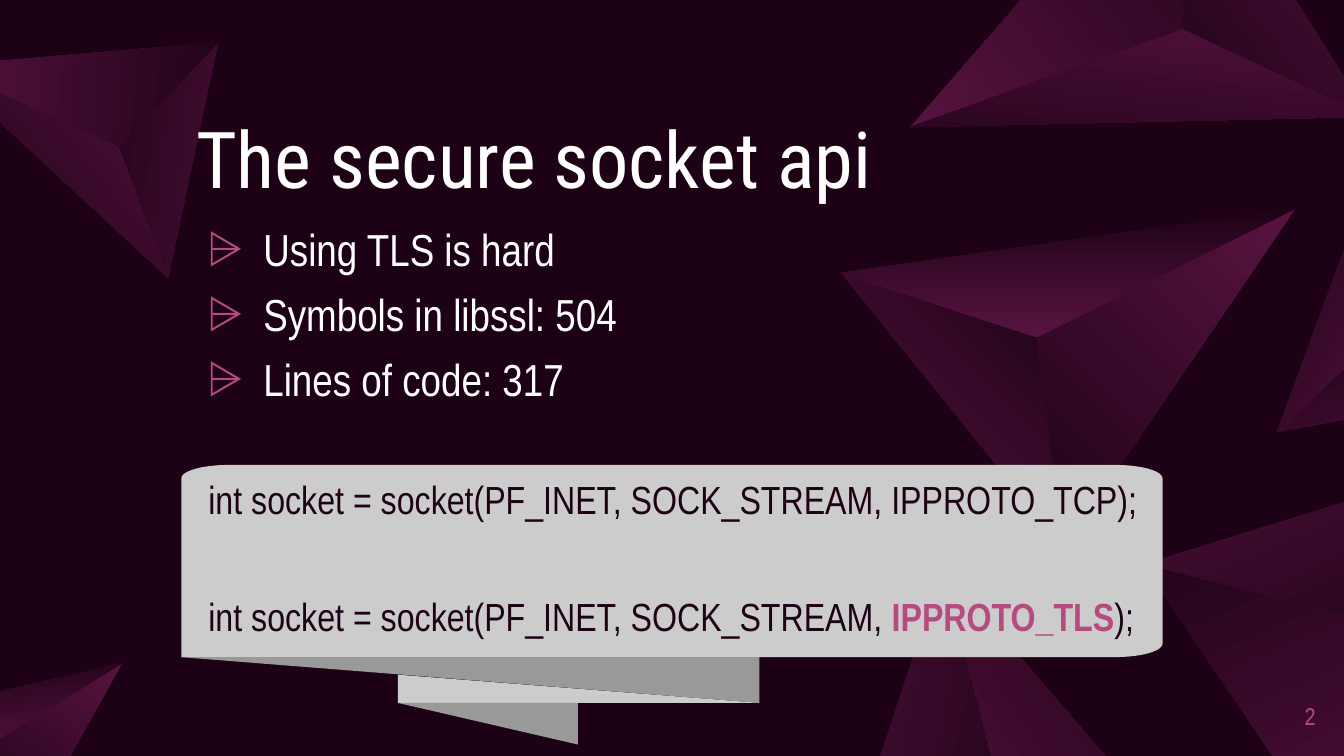
import dataclasses
import math
import typing

import lxml.etree
import pptx
import pptx.dml.color
import pptx.enum.text
import pptx.oxml.ns
import pptx.util

RGB = pptx.dml.color.RGBColor
ANCHOR = pptx.enum.text.MSO_ANCHOR
ALIGN = pptx.enum.text.PP_ALIGN
NIGHT = RGB(0x1D, 0x02, 0x16)
PLUM = RGB(0x59, 0x13, 0x41)
PINK = RGB(0xB6, 0x4B, 0x7F)
WHITE = RGB(0xFF, 0xFF, 0xFF)
LIGHT = RGB(0xCC, 0xCC, 0xCC)
GREY = RGB(0x99, 0x99, 0x99)

CELL = pptx.util.Inches(0.1)
COLS, ROWS = 100, 56.25
HEAD, BODY = "Roboto Condensed", "Arial Narrow"

Point = tuple[float, float]


@dataclasses.dataclass
class Gem:
    col: float
    row: float
    turn: float
    scale: float = 1


@dataclasses.dataclass
class Facet:
    points: list[Point]
    angle: float


@dataclasses.dataclass
class Run:
    text: str
    color: RGB
    bold: bool = False


@dataclasses.dataclass
class Line:
    runs: list[Run]
    before: float = 0
    mark: str = ""


GEM_WIDE, GEM_HIGH = 33.8, 25.3
WEST, SOUTH, EAST, PEAK = (0, 0.19), (0.49, 1), (1, 0), (0.43, 0.38)
FACETS = [
    Facet([WEST, SOUTH, PEAK], 45),
    Facet([SOUTH, EAST, PEAK], 225),
    Facet([WEST, PEAK, EAST], 90),
]
GEMS = [
    Gem(96.7, 47, 111.7),
    Gem(9.4, 8.4, 230.9, 0.68),
    Gem(79.5, 28.15, 0),
    Gem(86, -1.1, 186.8),
    Gem(102.7, 26.4, 298.3, 0.515),
    Gem(72.7, 60.7, 57.3),
    Gem(1, 56.6, 354.9, 0.515),
]


def trace(slide, points: list[Point]):
    spots = [(round(x * CELL), round(y * CELL)) for x, y in points]
    pen = slide.shapes.build_freeform(*spots[0], scale=1.0)
    pen.add_line_segments(spots[1:], close=True)
    shape = pen.convert_to_shape()
    shape.shadow.inherit = False
    shape.line.fill.background()
    return shape


def paint(slide, points: list[Point], color: RGB) -> None:
    shape = trace(slide, points)
    shape.fill.solid()
    shape.fill.fore_color.rgb = color


def draw_facet(slide, gem: Gem, facet: Facet) -> None:
    local = [((x - 0.5) * GEM_WIDE * gem.scale, (y - 0.5) * GEM_HIGH * gem.scale)
             for x, y in facet.points]
    mid_x, mid_y = ((min(axis) + max(axis)) / 2 for axis in zip(*local))
    turn = math.radians(gem.turn)
    left = gem.col + mid_x * math.cos(turn) - mid_y * math.sin(turn) - mid_x
    top = gem.row + mid_x * math.sin(turn) + mid_y * math.cos(turn) - mid_y
    shape = trace(slide, [(left + x, top + y) for x, y in local])
    shape.rotation = gem.turn
    shape.fill.gradient()
    shape.fill.gradient_angle = facet.angle
    for stop, color, place in zip(shape.fill.gradient_stops, (PLUM, NIGHT), (0, 1)):
        stop.color.rgb = color
        stop.position = place


def bend(x: float, y: float, start: int) -> list[Point]:
    wide, high, steps = 3.5, 1, 12
    turns = [math.radians(start + 90 * i / steps) for i in range(steps + 1)]
    return [(x + wide * math.cos(t), y + high * math.sin(t)) for t in turns]


def draw_bubble(slide) -> None:
    left, right, top, base = 13.5, 86.5, 34.6, 48.9
    near, mid, far = 29.6, 43, 56.5
    fold, foot, tip = 50.2, 52.3, 55.4
    paint(slide, [(left, base)] + bend(left + 3.5, top + 1, 180)
          + bend(right - 3.5, top + 1, 270) + bend(right - 3.5, base - 1, 0), LIGHT)
    paint(slide, [(far, foot), (left, base), (far, base)], GREY)
    paint(slide, [(near, foot), (far, foot), (near, fold)], LIGHT)
    paint(slide, [(mid, tip), (near, foot), (mid, foot)], GREY)


def set_mark(para, mark: str) -> None:
    props = para._p.get_or_add_pPr()
    qn = pptx.oxml.ns.qn
    if not mark:
        props.set("marL", "0")
        props.set("indent", "0")
        lxml.etree.SubElement(props, qn("a:buNone"))
        return
    props.set("marL", str(pptx.util.Inches(0.5)))
    props.set("indent", str(pptx.util.Inches(-0.42)))
    tint = lxml.etree.SubElement(props, qn("a:buClr"))
    lxml.etree.SubElement(tint, qn("a:srgbClr")).set("val", str(PINK))
    lxml.etree.SubElement(props, qn("a:buChar")).set("char", mark)


def write(shape, box: tuple[float, float, float, float], lines: list[Line],
          size: float, font: str = BODY, anchor=ANCHOR.TOP, align=ALIGN.LEFT,
          pitch: typing.Optional[float] = None) -> None:
    shape.left, shape.top, shape.width, shape.height = (round(v * CELL) for v in box)
    frame = shape.text_frame
    frame.word_wrap = True
    frame.auto_size = pptx.enum.text.MSO_AUTO_SIZE.NONE
    frame.vertical_anchor = anchor
    frame.margin_left = frame.margin_right = frame.margin_top = frame.margin_bottom = 0
    for i, line in enumerate(lines):
        para = frame.add_paragraph() if i else frame.paragraphs[0]
        set_mark(para, line.mark)
        para.alignment = align
        para.space_before = pptx.util.Pt(line.before)
        if pitch:
            para.line_spacing = pitch
        for part in line.runs:
            run = para.add_run()
            run.text = part.text
            run.font.name = font
            run.font.size = pptx.util.Pt(size)
            run.font.bold = part.bold
            run.font.color.rgb = part.color


def main() -> None:
    deck = pptx.Presentation()
    deck.slide_width, deck.slide_height = round(COLS * CELL), round(ROWS * CELL)
    slide = deck.slides.add_slide(deck.slide_layouts[3])
    slide.background.fill.solid()
    slide.background.fill.fore_color.rgb = NIGHT
    title, points, code = slide.placeholders

    for gem in GEMS:
        for facet in FACETS:
            draw_facet(slide, gem, facet)
    draw_bubble(slide)
    for holder in (title, points, code):
        slide.shapes._spTree.append(holder._element)

    write(title, (14.6, 8.8, 70.8, 6.5), [Line([Run("The secure socket api", WHITE)])],
          42, HEAD, ANCHOR.BOTTOM, pitch=0.9)
    facts = ["Using TLS is hard", "Symbols in libssl: 504", "Lines of code: 317"]
    write(points, (14.6, 16.5, 70.8, 14.6),
          [Line([Run(fact, WHITE)], 6 if i else 0, "⩥") for i, fact in enumerate(facts)],
          24)
    call = "int socket = socket(PF_INET, SOCK_STREAM, "
    write(code, (15.5, 35.4, 70.8, 14.6), [
        Line([Run(call + "IPPROTO_TCP);", NIGHT)]),
        Line([Run(call, NIGHT), Run("IPPROTO_TLS", PINK, True), Run(");", NIGHT)], 37),
    ], 21)
    write(slide.shapes.add_textbox(0, 0, CELL, CELL), (93.5, 51.1, 4.4, 4.3),
          [Line([Run("2", PINK)])], 13, anchor=ANCHOR.MIDDLE, align=ALIGN.RIGHT)
    deck.save("out.pptx")


if __name__ == "__main__":
    main()
